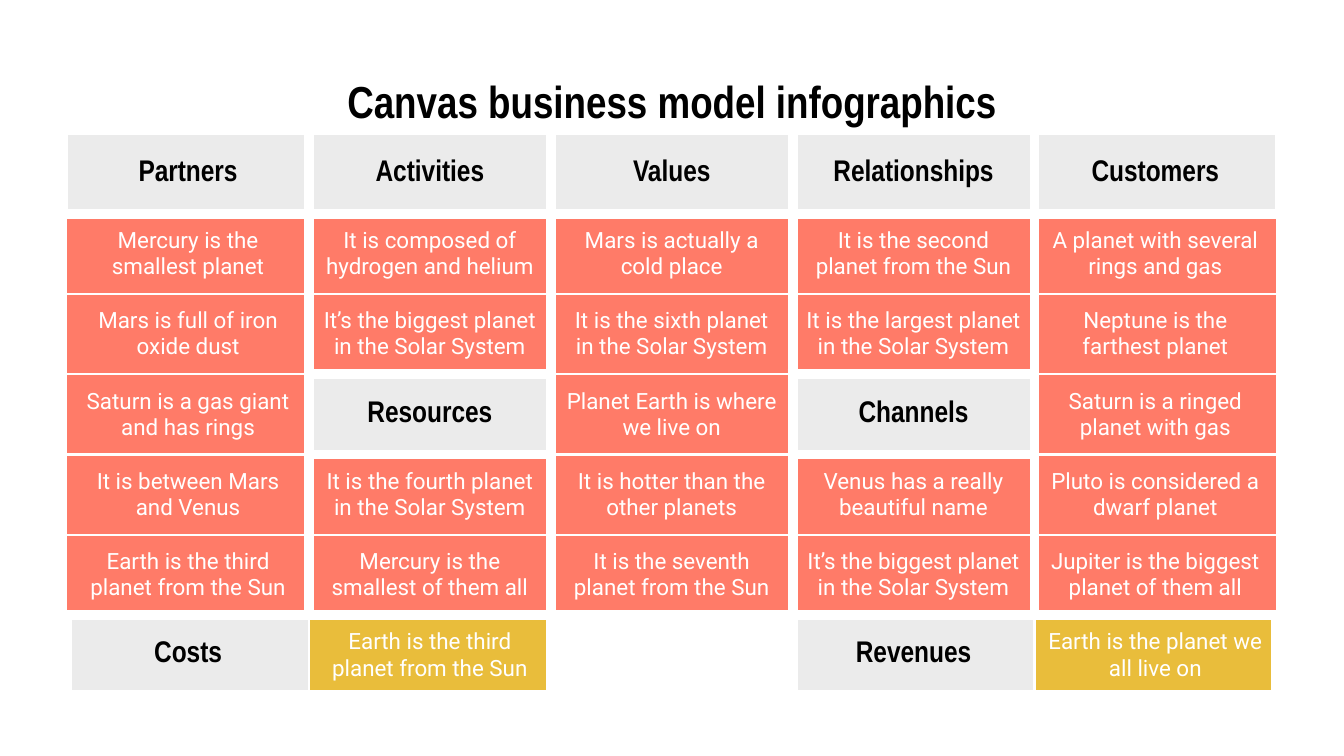
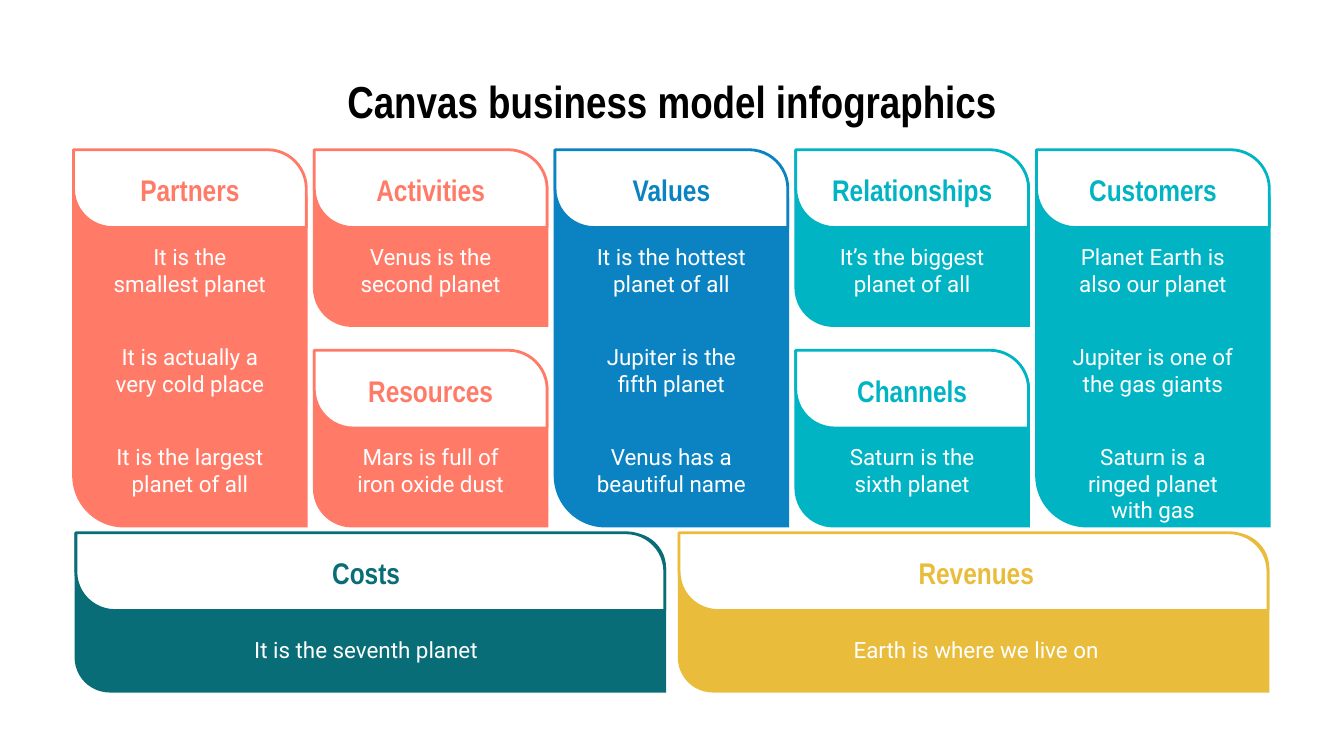
from dataclasses import dataclass
from typing import Optional

from lxml.etree import SubElement as Sub
from pptx import Presentation
from pptx.dml.color import RGBColor as Rgb
from pptx.enum.shapes import MSO_SHAPE as Shape
from pptx.enum.text import MSO_ANCHOR as Anchor, PP_ALIGN as Align
from pptx.oxml.ns import qn
from pptx.util import Cm, Pt

# Colours
BLACK = Rgb(0x00, 0x00, 0x00)
WHITE = Rgb(0xFF, 0xFF, 0xFF)
GREY = Rgb(0xEB, 0xEB, 0xEB)
CORAL = Rgb(0xFF, 0x7B, 0x68)
BLUE = Rgb(0x0B, 0x83, 0xC2)
AQUA = Rgb(0x01, 0xB4, 0xC4)
TEAL = Rgb(0x09, 0x6D, 0x77)
GOLD = Rgb(0xE9, 0xBD, 0x3B)

# Shared text styles
TITLE = {"name": "Arial Narrow", "size": Pt(24), "bold": True}
HEAD = {"name": "Arial Narrow", "size": Pt(16), "bold": True}
BODY = {"name": "Roboto", "size": Pt(12), "bold": False}
INSET = Cm(0.25)
PADS = {f"margin_{side}": INSET for side in ("left", "top", "right", "bottom")}


def assign(item, values: dict) -> None:
    for name, value in values.items():
        setattr(item, name, value)


def write(frame, text: str, style: dict, color: Rgb) -> None:
    para = frame.paragraphs[0]
    para.alignment = Align.CENTER
    run = para.add_run()
    run.text = text
    assign(run.font, style)
    run.font.color.rgb = color


def label(slide, text: str, mid: float, top: float, width: float, height: float,
          style: dict, color: Rgb, anchor=Anchor.TOP) -> None:
    """Add a text box centred on mid, in centimetres."""
    box = slide.shapes.add_textbox(Cm(mid - width / 2), Cm(top), Cm(width), Cm(height))
    frame = box.text_frame
    assign(frame, {**PADS, "word_wrap": True, "vertical_anchor": anchor})
    write(frame, text, style, color)


def new_slide(deck):
    slide = deck.slides.add_slide(deck.slide_layouts[6])
    label(slide, "Canvas business model infographics", 12.7, 1.14, 22.86, 1.6, TITLE, BLACK)
    return slide


# Slide 1: table
@dataclass(frozen=True)
class Kind:
    style: dict
    ink: Rgb
    fill: Optional[Rgb]


TOPIC = Kind(HEAD, BLACK, GREY)
NOTE = Kind(BODY, WHITE, CORAL)
MONEY = Kind(BODY, WHITE, GOLD)
BLANK = Kind(BODY, WHITE, None)

THIN, THICK = 1.5, 6
TOPICS = {"Partners", "Activities", "Values", "Relationships", "Customers",
          "Resources", "Channels", "Costs", "Revenues"}
ROWS = [
    ["Partners", "Activities", "Values", "Relationships", "Customers"],
    ["Mercury is the smallest planet", "It is composed of hydrogen and helium",
     "Mars is actually a cold place", "It is the second planet from the Sun",
     "A planet with several rings and gas"],
    ["Mars is full of iron oxide dust", "It’s the biggest planet in the Solar System",
     "It is the sixth planet in the Solar System",
     "It is the largest planet in the Solar System", "Neptune is the farthest planet"],
    ["Saturn is a gas giant and has rings", "Resources", "Planet Earth is where we live on",
     "Channels", "Saturn is a ringed planet with gas"],
    ["It is between Mars and Venus", "It is the fourth planet in the Solar System",
     "It is hotter than the other planets", "Venus has a really beautiful name",
     "Pluto is considered a dwarf planet"],
    ["Earth is the third planet from the Sun", "Mercury is the smallest of them all",
     "It is the seventh planet from the Sun", "It’s the biggest planet in the Solar System",
     "Jupiter is the biggest planet of them all"],
    ["Costs", "Earth is the third planet from the Sun", "", "Revenues",
     "Earth is the planet we all live on"],
]
HEIGHTS = [1.52, 1.2, 1.22, 1.22, 1.22, 1.2, 1.27]
LAST = len(ROWS) - 1
SIDES = {"lnL": (0, -1), "lnR": (0, 1), "lnT": (-1, 0), "lnB": (1, 0)}


def kind_at(row: int, col: int) -> Optional[Kind]:
    if not (0 <= row <= LAST and 0 <= col < len(ROWS[0])):
        return None
    text = ROWS[row][col]
    if not text:
        return BLANK
    if text in TOPICS:
        return TOPIC
    return MONEY if row == LAST else NOTE


def edge(row: int, col: int, down: int, right: int) -> float:
    """Give the border width between a cell and its neighbour."""
    here, there = kind_at(row, col), kind_at(row + down, col + right)
    if there is None:
        return {0: THIN, LAST: THICK}.get(row, 0)
    stacked = down and here == there == NOTE
    paired = right and {here.fill, there.fill} == {GREY, GOLD}
    return THIN if stacked or paired else THICK


def border(cell, tag: str, width: float) -> None:
    line = Sub(cell._tc.get_or_add_tcPr(), qn(f"a:{tag}"), w=str(Pt(width)))
    if width:
        Sub(Sub(line, qn("a:solidFill")), qn("a:srgbClr"), val=str(WHITE))
    else:
        Sub(line, qn("a:noFill"))


def draw_table(slide) -> None:
    table = slide.shapes.add_table(len(ROWS), len(ROWS[0]), Cm(1.27), Cm(2.52),
                                   Cm(22.85), Cm(sum(HEIGHTS))).table
    assign(table, {"first_row": False, "horz_banding": False})
    for col in table.columns:
        col.width = Cm(4.57)
    for r, texts in enumerate(ROWS):
        table.rows[r].height = Cm(HEIGHTS[r])
        for c, text in enumerate(texts):
            cell, kind = table.cell(r, c), kind_at(r, c)
            assign(cell, {**PADS, "vertical_anchor": Anchor.MIDDLE})
            for tag, step in SIDES.items():
                border(cell, tag, edge(r, c, *step))
            if kind.fill is None:
                cell.fill.background()
                continue
            cell.fill.solid()
            cell.fill.fore_color.rgb = kind.fill
            write(cell.text_frame, text, kind.style, kind.ink)


# Slide 2: cards
@dataclass(frozen=True)
class Card:
    head: str
    notes: tuple[str, ...]
    color: Rgb
    mid: float
    top: float
    height: float
    width: float = 4.45
    shift: float = 0
    span: float = 3.58
    anchor: Anchor = Anchor.TOP


MIDS = [3.59 + 4.55 * i for i in range(5)]
UPPER, LOWER, BASE = 2.83, 6.62, 10.07
TALL, SHORT = 7.14, 3.35
WIDE = {"top": BASE, "height": 3.02, "width": 11.18, "span": 6.43, "anchor": Anchor.MIDDLE}

CARDS = [
    Card("Partners", ("It is the smallest planet", "It is actually a very cold place",
                      "It is the largest planet of all"), CORAL, MIDS[0], UPPER, TALL),
    Card("Values", ("It is the hottest planet of all", "Jupiter is the fifth planet",
                    "Venus has a beautiful name"), BLUE, MIDS[2], UPPER, TALL),
    Card("Customers", ("Planet Earth is also our planet", "Jupiter is one of the gas giants",
                       "Saturn is a ringed planet with gas"), AQUA, MIDS[4], UPPER, TALL),
    Card("Activities", ("Venus is the second planet",), CORAL, MIDS[1], UPPER, SHORT),
    Card("Resources", ("Mars is full of iron oxide dust",), CORAL, MIDS[1], LOWER, SHORT),
    Card("Relationships", ("It’s the biggest planet of all",), AQUA, MIDS[3], UPPER, SHORT),
    Card("Channels", ("Saturn is the sixth planet",), AQUA, MIDS[3], LOWER, SHORT),
    Card("Costs", ("It is the seventh planet",), TEAL, 7, shift=-0.08, **WIDE),
    Card("Revenues", ("Earth is where we live on",), GOLD, 18.4, shift=0.05, **WIDE),
]


def leaf(slide, mid: float, top: float, width: float, height: float, bend: float,
         fill: Rgb, line: Optional[Rgb] = None) -> None:
    """Add a turned panel, round at top right and bottom left."""
    left, upper = mid - height / 2, top + height / 2 - width / 2
    shape = slide.shapes.add_shape(Shape.ROUND_2_DIAG_RECTANGLE, Cm(left), Cm(upper),
                                   Cm(height), Cm(width))
    shape.rotation = 270
    shape.shadow.inherit = False
    shape.adjustments[0], shape.adjustments[1] = bend, 0
    shape.fill.solid()
    shape.fill.fore_color.rgb = fill
    if line is None:
        shape.line.fill.background()
    else:
        shape.line.color.rgb = line
        shape.line.width = Pt(1.5)


def draw_card(slide, card: Card) -> None:
    leaf(slide, card.mid, card.top, card.width, card.height, 0.22, card.color)
    leaf(slide, card.mid, card.top, card.width - 0.05, 1.47, 0.5, WHITE, card.color)
    mid = card.mid + card.shift
    label(slide, card.head, mid, card.top + 0.27, 3.58, 0.97, HEAD, card.color, Anchor.MIDDLE)
    for i, note in enumerate(card.notes):
        label(slide, note, mid, card.top + 1.51 + 1.89 * i, card.span, 1.4,
              BODY, WHITE, card.anchor)


def main() -> None:
    deck = Presentation()
    assign(deck, {"slide_width": Cm(25.4), "slide_height": Cm(14.29)})
    draw_table(new_slide(deck))
    slide = new_slide(deck)
    for card in CARDS:
        draw_card(slide, card)
    deck.save("out.pptx")


if __name__ == "__main__":
    main()
